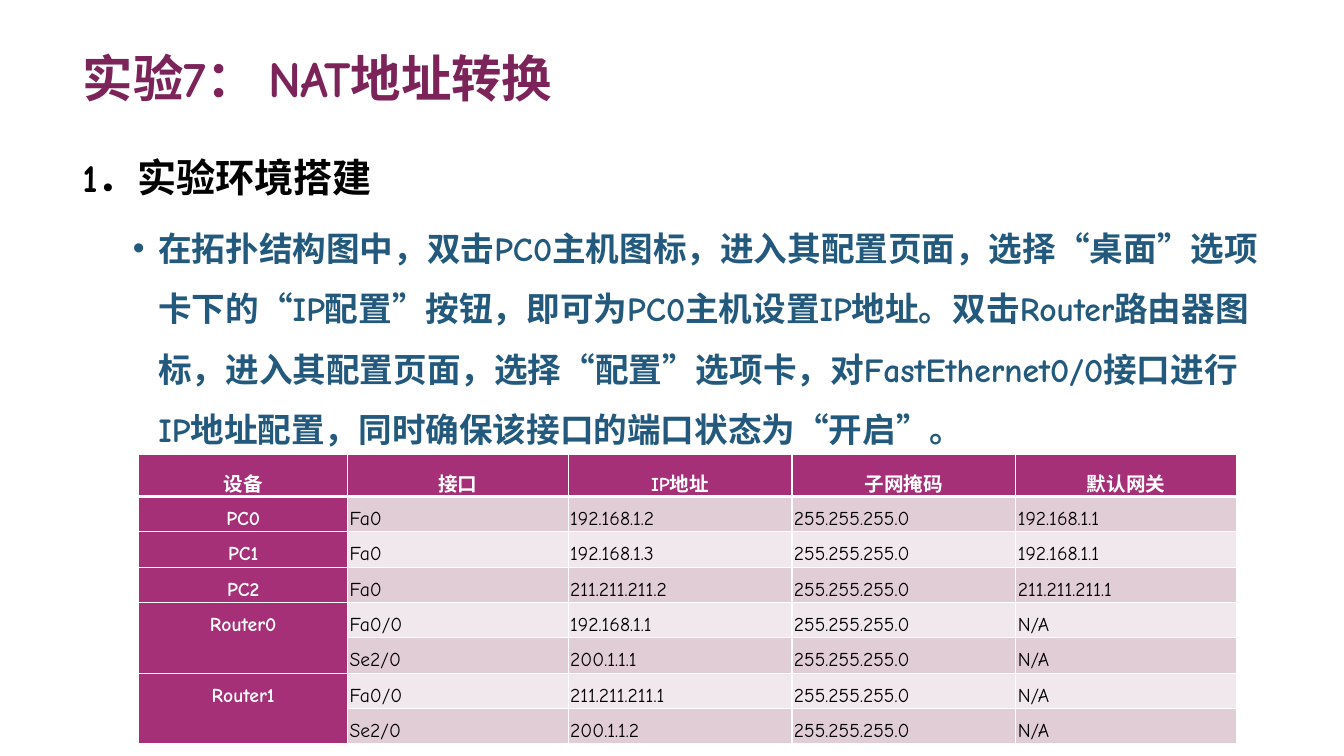
from dataclasses import dataclass

from lxml import etree
from pptx import Presentation
from pptx import util as u
from pptx.dml import color
from pptx.enum import text
from pptx.oxml import ns


@dataclass(frozen=True)
class Theme:
    font: str = "Comic Neue"
    title: str = "7C245A"
    heading: str = "000000"
    body: str = "22597D"
    accent: str = "A53078"
    band_dark: str = "E1CDD6"
    band_light: str = "F0E8EC"
    white: str = "FFFFFF"
    title_size: int = 36
    heading_size: int = 28
    body_size: int = 24
    table_size: int = 14


THEME = Theme()
TITLE = "实验7： NAT地址转换"
HEADING = "1．实验环境搭建"
INSTRUCTIONS = (
    "在拓扑结构图中，双击PC0主机图标，进入其配置页面，选择“桌面”选项卡下的“IP配置”按钮，"
    "即可为PC0主机设置IP地址。双击Router路由器图标，进入其配置页面，选择“配置”选项卡，"
    "对FastEthernet0/0接口进行IP地址配置，同时确保该接口的端口状态为“开启”。"
)
MASK = "255.255.255.0"
ADDRESSES = [
    ("设备", "接口", "IP地址", "子网掩码", "默认网关"),
    ("PC0", "Fa0", "192.168.1.2", MASK, "192.168.1.1"),
    ("PC1", "Fa0", "192.168.1.3", MASK, "192.168.1.1"),
    ("PC2", "Fa0", "211.211.211.2", MASK, "211.211.211.1"),
    ("Router0", "Fa0/0", "192.168.1.1", MASK, "N/A"),
    ("", "Se2/0", "200.1.1.1", MASK, "N/A"),
    ("Router1", "Fa0/0", "211.211.211.1", MASK, "N/A"),
    ("", "Se2/0", "200.1.1.2", MASK, "N/A"),
]
COLUMN_WIDTHS = (5.26, 5.56, 5.64, 5.64, 5.56)
HEADER_SHARE = 0.15


def format_runs(paragraph, size, colour, bold=True):
    for run in paragraph.runs:
        run.font.name = THEME.font
        run.font.size = u.Pt(size)
        run.font.bold = bold
        run.font.color.rgb = color.RGBColor.from_string(colour)


def add_bullet(paragraph, margin, indent):
    properties = paragraph._p.get_or_add_pPr()
    properties.set("marL", str(u.Cm(margin)))
    properties.set("indent", str(u.Cm(indent)))
    etree.SubElement(properties, ns.qn("a:buFont")).set("typeface", "Arial")
    etree.SubElement(properties, ns.qn("a:buChar")).set("char", "•")


def set_borders(cell, bottom_width):
    properties = cell._tc.get_or_add_tcPr()
    widths = {"a:lnL": 1, "a:lnR": 1, "a:lnT": 1, "a:lnB": bottom_width}
    for position, (tag, width) in enumerate(widths.items()):
        line = etree.Element(ns.qn(tag), w=str(u.Pt(width)))
        fill = etree.SubElement(line, ns.qn("a:solidFill"))
        etree.SubElement(fill, ns.qn("a:srgbClr")).set("val", THEME.white)
        properties.insert(position, line)


def place_title(slide, left, top, width, height):
    title = slide.shapes.title
    title.left, title.top = u.Cm(left), u.Cm(top)
    title.width, title.height = u.Cm(width), u.Cm(height)
    frame = title.text_frame
    frame.text = TITLE
    frame.auto_size = text.MSO_AUTO_SIZE.NONE
    frame.vertical_anchor = text.MSO_ANCHOR.BOTTOM
    frame.paragraphs[0].alignment = text.PP_ALIGN.LEFT
    format_runs(frame.paragraphs[0], THEME.title_size, THEME.title)


def place_instructions(slide, left, top, width, height):
    box = slide.shapes.add_textbox(u.Cm(left), u.Cm(top), u.Cm(width), u.Cm(height))
    frame = box.text_frame
    frame.word_wrap = True
    frame.text = HEADING
    heading = frame.paragraphs[0]
    heading.line_spacing = 1.5
    format_runs(heading, THEME.heading_size, THEME.heading)

    instructions = frame.add_paragraph()
    instructions.text = INSTRUCTIONS
    instructions.level = 1
    add_bullet(instructions, 1.91, -0.64)
    instructions.line_spacing = 1.5
    instructions.space_before = u.Pt(5)
    format_runs(instructions, THEME.body_size, THEME.body)


def fill_cell(cell, value, row, column):
    is_label = row == 0 or column == 0
    band = THEME.band_dark if row % 2 else THEME.band_light
    cell.margin_left = cell.margin_right = u.Cm(0.05)
    cell.margin_top = cell.margin_bottom = 0
    cell.fill.solid()
    cell.fill.fore_color.rgb = color.RGBColor.from_string(THEME.accent if is_label else band)
    set_borders(cell, 3 if row == 0 else 1)
    cell.text = value
    paragraph = cell.text_frame.paragraphs[0]
    paragraph.line_spacing = 1.5
    paragraph.alignment = text.PP_ALIGN.CENTER if is_label else text.PP_ALIGN.JUSTIFY
    paragraph.font.size = u.Pt(THEME.table_size)
    format_runs(paragraph, THEME.table_size, THEME.white if is_label else THEME.heading, is_label)


def place_address_table(slide, left, top, width, height):
    shape = slide.shapes.add_table(
        len(ADDRESSES), len(COLUMN_WIDTHS), u.Cm(left), u.Cm(top), u.Cm(width), u.Cm(height)
    )
    table = shape.table
    for column, share in zip(table.columns, COLUMN_WIDTHS):
        column.width = u.Cm(width * share / sum(COLUMN_WIDTHS))
    header_height = height * HEADER_SHARE
    row_height = (height - header_height) / (len(ADDRESSES) - 1)
    for index, row in enumerate(table.rows):
        row.height = u.Cm(row_height if index else header_height)

    for row, values in enumerate(ADDRESSES):
        for column, value in enumerate(values):
            fill_cell(table.cell(row, column), value, row, column)
        if not values[0]:
            table.cell(row - 1, 0).merge(table.cell(row, 0))


def main():
    presentation = Presentation()
    presentation.slide_width = u.Cm(33.87)
    presentation.slide_height = u.Cm(19.05)
    slide = presentation.slides.add_slide(presentation.slide_layouts[5])
    place_title(slide, 1.83, 0.36, 30.18, 2.49)
    place_instructions(slide, 1.83, 3.15, 30.18, 13.89)
    place_address_table(slide, 3.5, 11.46, 27.66, 7.02)
    presentation.save("out.pptx")


if __name__ == "__main__":
    main()
